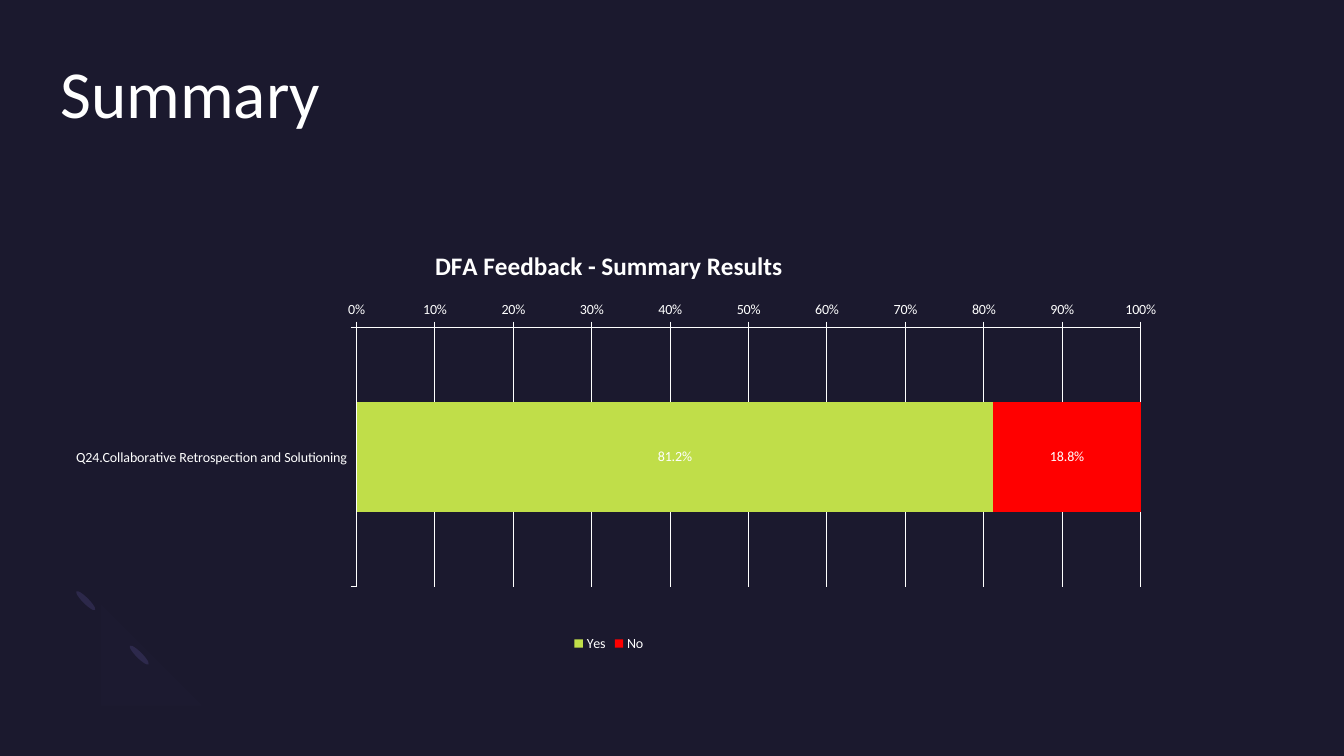
from dataclasses import dataclass

from lxml import etree
from pptx import Presentation
from pptx.chart.data import CategoryChartData
from pptx.dml.color import RGBColor
from pptx.enum.chart import XL_CHART_TYPE, XL_LABEL_POSITION, XL_LEGEND_POSITION, XL_TICK_MARK
from pptx.enum.shapes import MSO_SHAPE
from pptx.enum.text import MSO_ANCHOR
from pptx.oxml.ns import qn
from pptx.util import Emu, Inches, Pt

BAR_STACKED = XL_CHART_TYPE.BAR_STACKED
BOTTOM = XL_LEGEND_POSITION.BOTTOM
CENTER = XL_LABEL_POSITION.CENTER
OUTSIDE = XL_TICK_MARK.OUTSIDE
NO_TICK = XL_TICK_MARK.NONE
OVAL = MSO_SHAPE.OVAL
TOP = MSO_ANCHOR.TOP

WIDTH, HEIGHT = Inches(13.33), Inches(7.5)
FONT = "Calibri"
WHITE, BACKGROUND, PETAL = "FFFFFF", "1B192E", "2C284A"
MARGIN = 0.045
CURVE_STEPS = 12


@dataclass(frozen=True)
class Box:
    left: float
    top: float
    width: float
    height: float

    def emu(self) -> tuple[Emu, Emu, Emu, Emu]:
        return (Emu(int(self.left * WIDTH)), Emu(int(self.top * HEIGHT)),
                Emu(int(self.width * WIDTH)), Emu(int(self.height * HEIGHT)))


@dataclass(frozen=True)
class Answer:
    name: str
    share: float
    color: str


TITLE_BOX = Box(MARGIN, 0.08, 0.91, 0.195)
CHART_BOX = Box(MARGIN, 0.304, 0.816, 0.563)
PLOT_BOX = Box(0.27, 0.23, 0.715, 0.609)
PETALS = [Box(0.1013, 0.849, 0.0045, 0.035), Box(0.0615, 0.777, 0.0045, 0.035)]
ANSWERS = [Answer("Yes", 0.812, "C0DE49"), Answer("No", 0.188, "FF0000")]
ARC = [
    [(0.76, 6.59), (0.56, 6.39), (0.58, 6.05), (0.81, 5.82)],
    [(0.99, 6.0), (0.87, 6.11), (0.86, 6.29), (0.96, 6.38)],
    [(0.96, 6.38), (1.06, 6.48), (1.23, 6.47), (1.35, 6.36)],
    [(1.52, 6.54), (1.3, 6.76), (0.95, 6.79), (0.76, 6.59)],
]


def rgb(color: str) -> RGBColor:
    return RGBColor.from_string(color)


def set_font(font, size: float, bold: bool = False) -> None:
    font.name, font.size, font.bold = FONT, Pt(size), bold
    font.color.rgb = rgb(WHITE)


def paint(s, color: str) -> None:
    s.shadow.inherit = False
    s.fill.solid()
    s.fill.fore_color.rgb = rgb(color)
    s.line.fill.background()


def bezier(curve: list, t: float) -> tuple[float, float]:
    weights = ((1 - t) ** 3, 3 * t * (1 - t) ** 2, 3 * t * t * (1 - t), t ** 3)
    return (sum(w * x for w, (x, _) in zip(weights, curve)),
            sum(w * y for w, (_, y) in zip(weights, curve)))


def add_ornament(slide) -> None:
    for box in PETALS:
        s = slide.shapes.add_shape(OVAL, *box.emu())
        s.rotation = 135
        paint(s, PETAL)
    points = [bezier(curve, i / CURVE_STEPS) for curve in ARC for i in range(CURVE_STEPS + 1)]
    builder = slide.shapes.build_freeform(*points[0], scale=Inches(1))
    builder.add_line_segments(points[1:], close=True)
    s = builder.convert_to_shape()
    paint(s, "7771B2")
    color = s.fill._xPr.find(qn("a:solidFill"))[0]
    etree.SubElement(color, qn("a:alpha"), val="2000")


def add_title(slide, text: str) -> None:
    tf = slide.shapes.add_textbox(*TITLE_BOX.emu()).text_frame
    tf.word_wrap = True
    tf.vertical_anchor = TOP
    tf.margin_left = tf.margin_right = tf.margin_top = tf.margin_bottom = 0
    tf.text = text
    p = tf.paragraphs[0]
    p.line_spacing = 0.9
    set_font(p.runs[0].font, 48)


def place_plot(chart, box: Box) -> None:
    area = chart._chartSpace.chart.plotArea
    for old in area.findall(qn("c:layout")):
        area.remove(old)
    layout = etree.Element(qn("c:layout"))
    area.insert(0, layout)
    manual = etree.SubElement(layout, qn("c:manualLayout"))
    settings = [("layoutTarget", "inner"), ("xMode", "edge"), ("yMode", "edge"),
                ("x", box.left), ("y", box.top), ("w", box.width), ("h", box.height)]
    for tag, value in settings:
        etree.SubElement(manual, qn(f"c:{tag}"), val=str(value))


def style_axis(axis) -> None:
    axis.major_tick_mark, axis.minor_tick_mark = OUTSIDE, NO_TICK
    axis.format.line.color.rgb = rgb(WHITE)
    axis.format.line.width = Pt(0.75)
    set_font(axis.tick_labels.font, 10)


def add_results_chart(slide) -> None:
    data = CategoryChartData(number_format="0.0%")
    data.categories = ["Q24.Collaborative Retrospection and Solutioning"]
    for answer in ANSWERS:
        data.add_series(answer.name, [answer.share])
    chart = slide.shapes.add_chart(BAR_STACKED, *CHART_BOX.emu(), data).chart
    set_font(chart.font, 10)
    place_plot(chart, PLOT_BOX)

    tf = chart.chart_title.text_frame
    tf.text = "DFA Feedback - Summary Results"
    set_font(tf.paragraphs[0].runs[0].font, 18, bold=True)
    chart.has_legend = True
    chart.legend.position = BOTTOM
    chart.legend.include_in_layout = False
    set_font(chart.legend.font, 10)

    style_axis(chart.category_axis)
    chart.category_axis.reverse_order = True
    values = chart.value_axis
    style_axis(values)
    values.minimum_scale, values.maximum_scale, values.major_unit = 0, 1, 0.1
    values.tick_labels.number_format = "0%"
    values.tick_labels.number_format_is_linked = False
    values.has_major_gridlines = True
    values.major_gridlines.format.line.color.rgb = rgb(WHITE)
    values.major_gridlines.format.line.width = Pt(0.75)

    plot = chart.plots[0]
    plot.gap_width, plot.overlap = 136, 100
    plot.vary_by_categories = False
    for series, answer in zip(plot.series, ANSWERS):
        series.format.fill.solid()
        series.format.fill.fore_color.rgb = rgb(answer.color)
        labels = series.data_labels
        labels.show_value = True
        labels.position = CENTER
        labels.number_format = "0.0%"
        labels.number_format_is_linked = False
        set_font(labels.font, 10)


def main() -> None:
    prs = Presentation()
    prs.slide_width, prs.slide_height = WIDTH, HEIGHT
    slide = prs.slides.add_slide(prs.slide_layouts[6])
    slide.background.fill.solid()
    slide.background.fill.fore_color.rgb = rgb(BACKGROUND)
    add_ornament(slide)
    add_title(slide, "Summary")
    add_results_chart(slide)
    prs.save("out.pptx")


if __name__ == "__main__":
    main()
